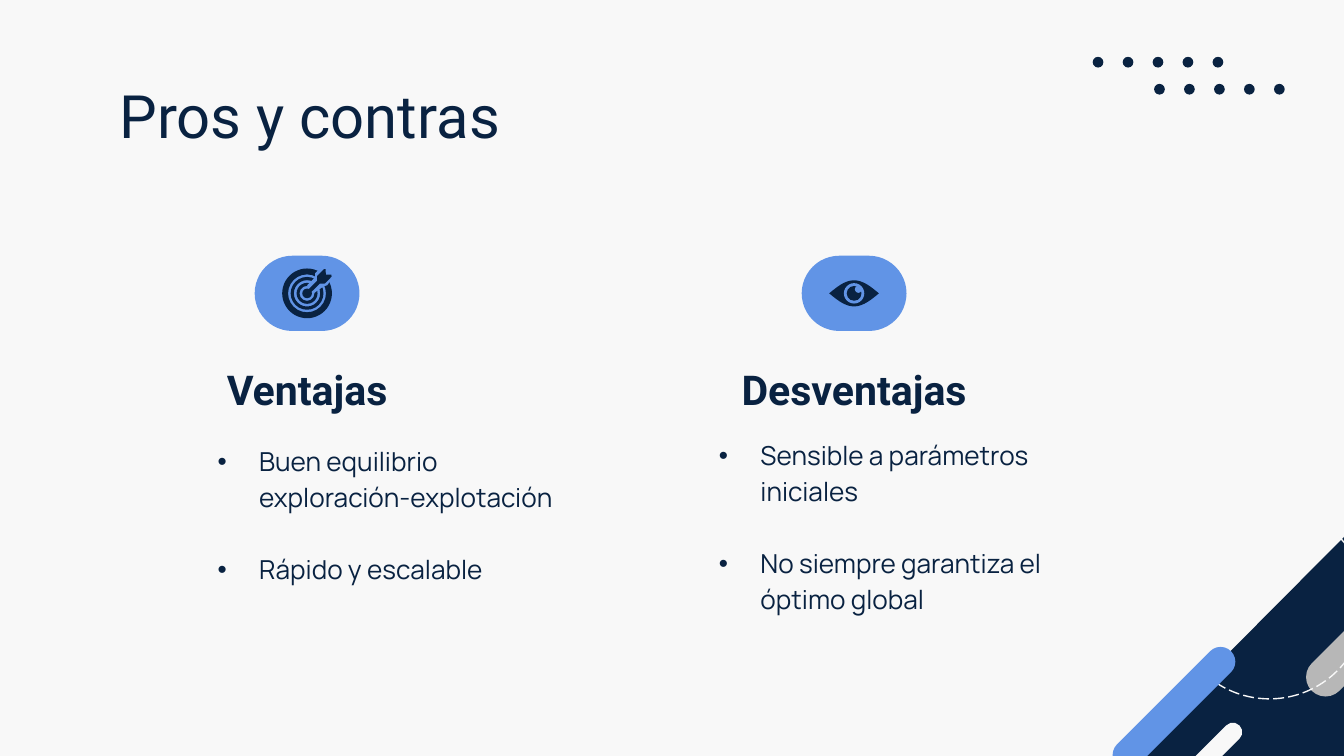
from math import cos, pi

from lxml.etree import SubElement
from pptx import Presentation
from pptx.dml.color import RGBColor as Rgb
from pptx.enum.dml import MSO_LINE as Dash
from pptx.enum.shapes import MSO_SHAPE as Kind
from pptx.enum.text import MSO_ANCHOR as Anchor, PP_ALIGN as Align
from pptx.oxml.ns import qn
from pptx.util import Inches, Pt

COLORS = {"paper": "F8F8F8", "navy": "092241", "blue": "6194E6", "gray": "B7B7B7"}
COLUMNS, ROWS = 1000, 562.5
CELL = Inches(10) / COLUMNS

TITLE = ("Pros y contras", (79, 49, 843, 63))
SECTIONS = [
    {
        "heading": "Ventajas",
        "heading_at": (79, 271, 299, 47),
        "points": ["Buen equilibrio exploración-explotación", "Rápido y escalable"],
        "points_at": (152, 318, 299, 134),
        "pill_at": (189.5, 190.3, 78, 56),
        "icon": "target",
    },
    {
        "heading": "Desventajas",
        "heading_at": (486, 271, 299, 47),
        "points": ["Sensible a parámetros iniciales", "No siempre garantiza el óptimo global"],
        "points_at": (525, 313.5, 299, 134),
        "pill_at": (596.5, 190.3, 78, 56),
        "icon": "eye",
    },
]
CORNER = [
    (Kind.RIGHT_TRIANGLE, (837, 393.5, 170, 169), 270, "navy"),
    (Kind.ROUNDED_RECTANGLE, (957.5, 455, 126, 29), 135, "gray"),
    (Kind.OVAL, (873, 377, 143, 143), 180, None),
    (Kind.ROUNDED_RECTANGLE, (813.5, 516, 120, 22), 135, "blue"),
    (Kind.ROUNDED_RECTANGLE, (850.5, 562.5, 84, 14), 135, "paper"),
]
DOT_ROWS = [(858.7, 62.4), (813, 42.3)]
DOT_COUNT, DOT_STEP, DOT_SIZE = 5, 22.3, 8

TARGET_RINGS = [(18.5, 4.4), (12.2, 2.4), (7.8, 2.2)]
ARROW_GAP = [(0, -6), (6, -12), (6, -15), (11, -20), (20, -13), (15, -6), (12, -5), (5, 0)]
ARROW = [(-1, -1), (7.5, -9.5), (7.5, -13), (12.5, -18), (13.8, -18), (14, -14),
         (18, -14), (18.3, -12.5), (14, -8), (13, -7.3), (9.5, -7.3), (1, 1)]
EYE_DISCS = [(0, 0, 7.6, "blue"), (0, 0, 5.5, "navy"), (3.2, -3, 2.6, "blue")]
EYE_HALF_WIDTH, EYE_HALF_HEIGHT = 18.5, 9.7

FRAME = {"word_wrap": True, "margin_left": Inches(0.1), "margin_right": Inches(0.1),
         "margin_top": Inches(0.1), "margin_bottom": Inches(0.1)}
TITLE_FONT = {"name": "Roboto", "size": Pt(32), "bold": False}
HEADING_FONT = {"name": "Roboto", "size": Pt(22), "bold": True}
POINT_FONT = {"name": "Manrope", "size": Pt(14), "bold": False}
POINT_GAP = Pt(19.3)
INDENT = Inches(0.31)


def color(name):
    return Rgb.from_string(COLORS[name])


def apply(target, values):
    for key, value in values.items():
        setattr(target, key, value)


def place(box):
    return [round(length * CELL) for length in box]


def paint(shape, fill):
    shape.shadow.inherit = False
    shape.line.fill.background()
    if fill:
        shape.fill.solid()
        shape.fill.fore_color.rgb = color(fill)
    else:
        shape.fill.background()


def draw(shapes, kind, box, fill, rotation=0):
    shape = shapes.add_shape(kind, *place(box))
    if kind == Kind.ROUNDED_RECTANGLE:
        shape.adjustments[0] = 0.5
    shape.rotation = rotation
    paint(shape, fill)
    return shape


def disc(shapes, x, y, radius, fill, kind=Kind.OVAL):
    return draw(shapes, kind, (x - radius, y - radius, 2 * radius, 2 * radius), fill)


def outline(shapes, x, y, corners, fill):
    first, *rest = [place((x + dx, y + dy)) for dx, dy in corners]
    builder = shapes.build_freeform(*first)
    builder.add_line_segments(rest, close=True)
    paint(builder.convert_to_shape(), fill)


def target(shapes, x, y):
    for radius, thickness in TARGET_RINGS:
        ring = disc(shapes, x, y, radius, "navy", Kind.DONUT)
        ring.adjustments[0] = thickness / (2 * radius)
    outline(shapes, x, y, ARROW_GAP, "blue")
    disc(shapes, x, y, 3.6, "navy")
    outline(shapes, x, y, ARROW, "navy")


def eye(shapes, x, y):
    steps = [step / 12 for step in range(-12, 13)]
    upper = [(s * EYE_HALF_WIDTH, -EYE_HALF_HEIGHT * cos(s * pi / 2)) for s in steps]
    lower = [(dx, -dy) for dx, dy in reversed(upper[1:-1])]
    outline(shapes, x, y, upper + lower, "navy")
    for dx, dy, radius, fill in EYE_DISCS:
        disc(shapes, x + dx, y + dy, radius, fill)


ICONS = {"target": target, "eye": eye}


def write(shapes, box, lines, font, align=Align.LEFT, anchor=Anchor.TOP):
    frame = shapes.add_textbox(*place(box)).text_frame
    apply(frame, {**FRAME, "vertical_anchor": anchor})
    for index, line in enumerate(lines):
        paragraph = frame.paragraphs[0] if index == 0 else frame.add_paragraph()
        paragraph.alignment = align
        run = paragraph.add_run()
        run.text = line
        apply(run.font, font)
        run.font.color.rgb = color("navy")
    return frame.paragraphs


def add_bullet(paragraph):
    properties = paragraph._p.get_or_add_pPr()
    properties.set("marL", str(INDENT))
    properties.set("indent", str(-INDENT))
    tint = SubElement(properties, qn("a:buClr"))
    SubElement(tint, qn("a:srgbClr"), val=COLORS["navy"])
    SubElement(properties, qn("a:buFont"), typeface="Arial")
    SubElement(properties, qn("a:buChar"), char="•")


def decorate(shapes):
    for kind, box, rotation, fill in CORNER:
        shape = draw(shapes, kind, box, fill, rotation)
        if fill is None:
            shape.line.color.rgb = color("paper")
            apply(shape.line, {"width": Pt(0.75), "dash_style": Dash.LONG_DASH})
    for left, top in DOT_ROWS:
        for column in range(DOT_COUNT):
            draw(shapes, Kind.OVAL, (left + column * DOT_STEP, top, DOT_SIZE, DOT_SIZE), "navy")


def add_section(shapes, section):
    write(shapes, section["heading_at"], [section["heading"]], HEADING_FONT,
          Align.CENTER, Anchor.BOTTOM)
    points = write(shapes, section["points_at"], section["points"], POINT_FONT)
    for index, point in enumerate(points):
        apply(point, {"line_spacing": 1.15, "space_before": POINT_GAP if index else Pt(0)})
        add_bullet(point)
    left, top, width, height = section["pill_at"]
    draw(shapes, Kind.ROUNDED_RECTANGLE, section["pill_at"], "blue")
    ICONS[section["icon"]](shapes, left + width / 2, top + height / 2)


def main():
    deck = Presentation()
    deck.slide_width, deck.slide_height = place((COLUMNS, ROWS))
    slide = deck.slides.add_slide(deck.slide_layouts[6])
    slide.background.fill.solid()
    slide.background.fill.fore_color.rgb = color("paper")
    decorate(slide.shapes)
    title, title_at = TITLE
    write(slide.shapes, title_at, [title], TITLE_FONT)
    for section in SECTIONS:
        add_section(slide.shapes, section)
    deck.save("out.pptx")


if __name__ == "__main__":
    main()
